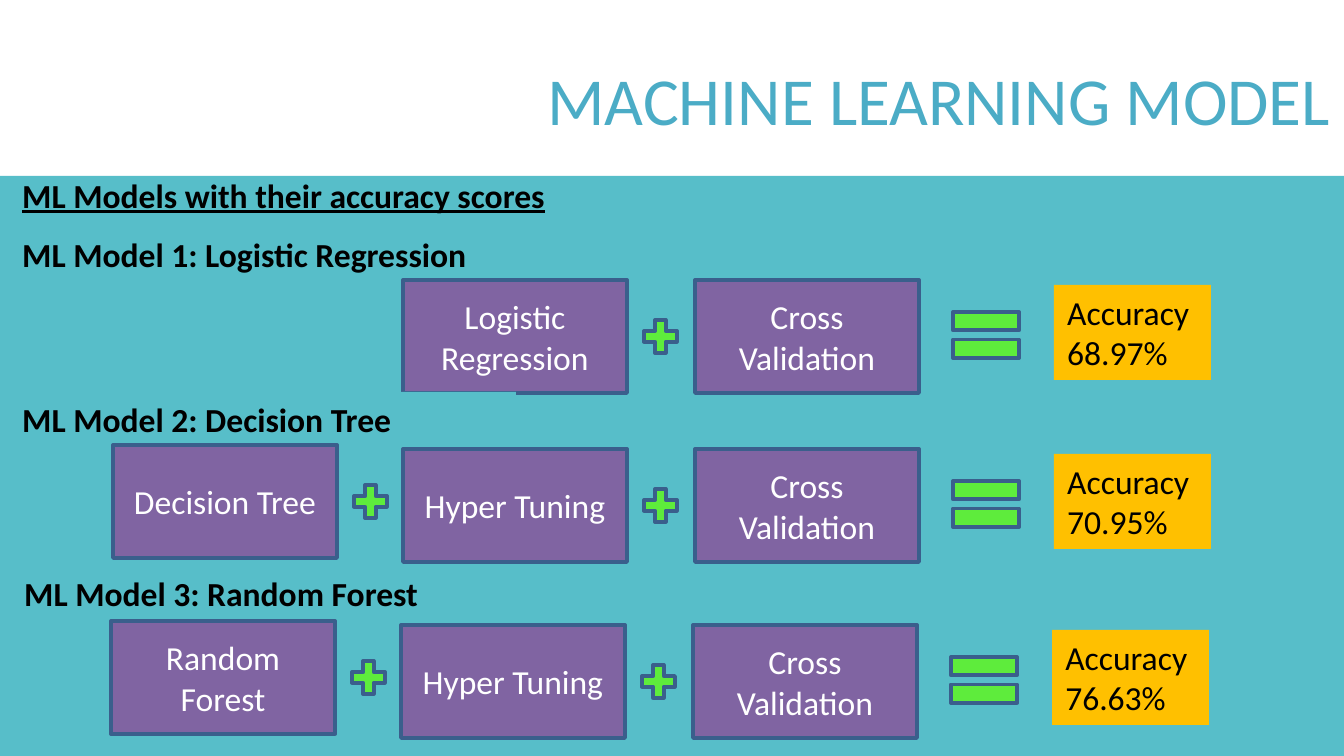
"""Build the slide comparing machine learning models and their accuracy."""
import pptx
import pptx.util
from pptx.dml.color import RGBColor
from pptx.enum.shapes import MSO_SHAPE
from pptx.enum.text import MSO_ANCHOR, PP_ALIGN

PX = 914400 / 134.4
TITLE_BLUE = RGBColor(0x4B, 0xAC, 0xC6)
TEAL = RGBColor(0x57, 0xBE, 0xC9)
PURPLE = RGBColor(0x80, 0x64, 0xA2)
OUTLINE = RGBColor(0x3A, 0x5F, 0x8C)
GREEN = RGBColor(0x5E, 0xEC, 0x3C)
AMBER = RGBColor(0xFF, 0xC0, 0x00)
BLACK = RGBColor(0, 0, 0)
WHITE = RGBColor(0xFF, 0xFF, 0xFF)

prs = pptx.Presentation()
prs.slide_width, prs.slide_height = round(1344 * PX), round(756 * PX)
s = prs.slides.add_slide(prs.slide_layouts[5])


def add_block(kind, x, y, w, h, fill, line=None):
    sp = s.shapes.add_shape(kind, *[round(v * PX) for v in (x, y, w, h)])
    sp.shadow.inherit = False
    sp.fill.solid()
    sp.fill.fore_color.rgb = fill
    if line is None:
        sp.line.fill.background()
    else:
        sp.line.color.rgb = line
        sp.line.width = pptx.util.Pt(2)
    return sp


def write(sp, lines, color, size=18, align=PP_ALIGN.LEFT, anchor=MSO_ANCHOR.TOP, bold=False, underline=False):
    tf = sp.text_frame
    tf.word_wrap = True
    tf.vertical_anchor = anchor
    for i, text in enumerate(lines):
        p = tf.add_paragraph() if i else tf.paragraphs[0]
        p.alignment = align
        r = p.add_run()
        r.text = text
        r.font.name = "Calibri"
        r.font.size = pptx.util.Pt(size)
        r.font.bold = bold
        r.font.underline = underline
        r.font.color.rgb = color


title = s.shapes.title
title.left, title.top, title.width, title.height = [round(v * PX) for v in (110, 42, 1234, 113)]
write(title, ["MACHINE LEARNING MODEL"], TITLE_BLUE, 36, PP_ALIGN.RIGHT, MSO_ANCHOR.MIDDLE)

add_block(MSO_SHAPE.RECTANGLE, 0, 176, 1344, 580, TEAL)
subtitle = s.shapes.add_textbox(*[round(v * PX) for v in (9, 168, 1099, 54)])
write(subtitle, ["ML Models with their accuracy scores"], BLACK, bold=True, underline=True)

models = [
    ("ML Model 1: Logistic Regression", 9, 227, 0, 280, [None, "Logistic Regression", "Cross Validation"], "68.97%"),
    ("ML Model 2: Decision Tree", 9, 392, 0, 449, ["Decision Tree", "Hyper Tuning", "Cross Validation"], "70.95%"),
    ("ML Model 3: Random Forest", 11, 566, -2, 625, ["Random Forest", "Hyper Tuning", "Cross Validation"], "76.63%"),
]
columns = [(113, -4), (403, 0), (695, 0)]

for heading, heading_x, heading_y, dx, y, steps, accuracy in models:
    sp = add_block(MSO_SHAPE.RECTANGLE, heading_x, heading_y, 507, 54, TEAL)
    write(sp, [heading], BLACK, bold=True)
    for i, ((x, dy), step) in enumerate(zip(columns, steps)):
        if step is None:
            continue
        sp = add_block(MSO_SHAPE.RECTANGLE, x + dx, y + dy, 224, 113, PURPLE, OUTLINE)
        write(sp, [step], WHITE, align=PP_ALIGN.CENTER, anchor=MSO_ANCHOR.MIDDLE)
        if i < 2:
            add_block(MSO_SHAPE.MATH_PLUS, x + dx + 235, y + dy + 34, 45, 45, GREEN, OUTLINE)
    add_block(MSO_SHAPE.MATH_EQUAL, 941 + dx, y + 16, 90, 78, GREEN, OUTLINE)
    sp = add_block(MSO_SHAPE.RECTANGLE, 1054 + dx, y + 5, 157, 95, AMBER)
    write(sp, ["Accuracy", accuracy], BLACK)

prs.save("out.pptx")
